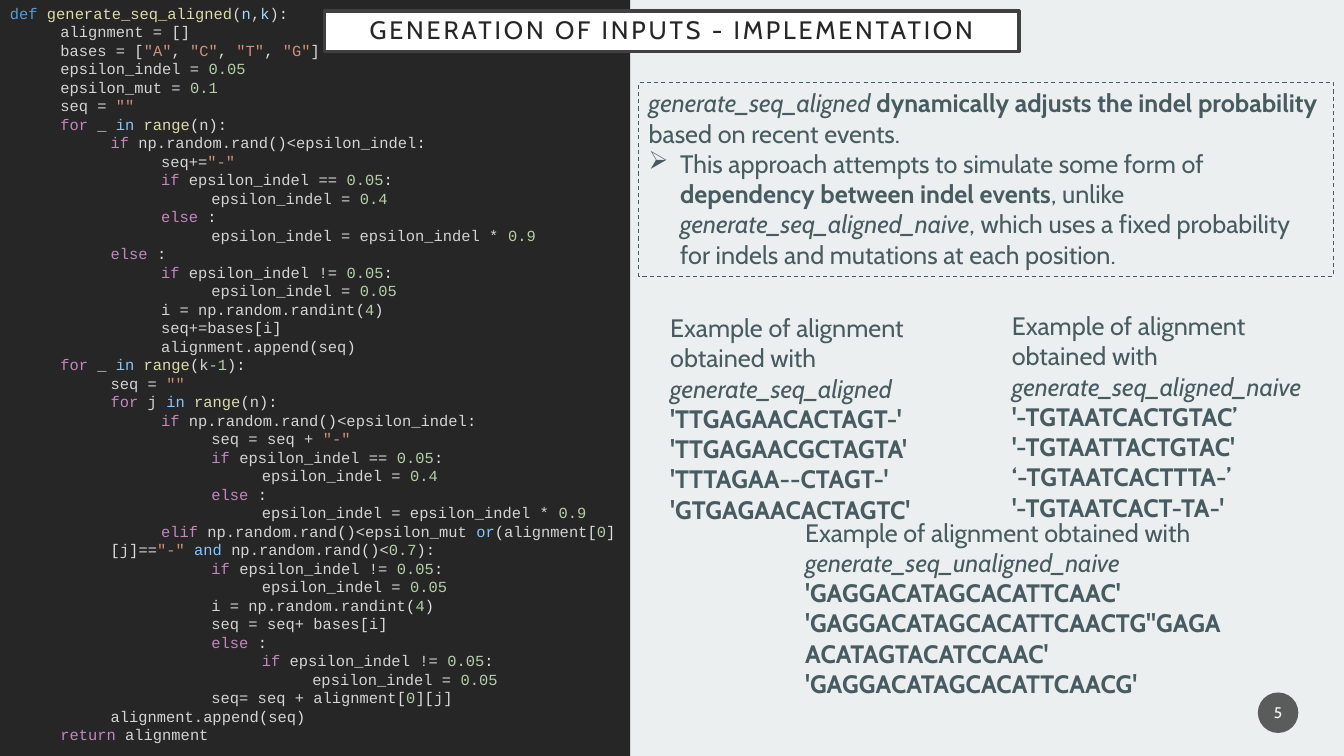
"""Build the slide on the implementation of the input generation."""
import pptx
import pptx.util
import pptx.dml.color
import pptx.enum.dml
import pptx.enum.shapes
import pptx.enum.text
import pptx.oxml.ns
from lxml import etree

Cm, Pt = pptx.util.Cm, pptx.util.Pt
RGB = pptx.dml.color.RGBColor.from_string
SHAPE = pptx.enum.shapes.MSO_SHAPE
ANCHOR = pptx.enum.text.MSO_ANCHOR
ALIGN = pptx.enum.text.PP_ALIGN
qn = pptx.oxml.ns.qn

COLORS = {
    "back": "EBEFF0", "panel": "262626", "frame": "404040", "white": "FFFFFF",
    "badge": "1D1D1D", "body": "475B61",
    "d": "569CD6", "f": "DCDCAA", "t": "D4D4D4", "a": "9CDCFE", "p": "DCDCDC",
    "s": "CE9178", "n": "B5CEA8", "k": "C586C0", "o": "82C6FF",
}
CODE_FONT = {"name": "Courier New", "size": Pt(11)}
BODY_FONT = {"name": "Cabin", "size": Pt(18)}
STYLES = {"": {}, "b": {"bold": True}, "i": {"italic": True}}
TAB = 1.27

CODE = [
    (0, "ddef |fgenerate_seq_aligned|t(|an|t,|ak|t)|p:"),
    (1, "talignment = |p[]"),
    (1, 'tbases = |p[|s"A"|p, |s"C"|p, |s"T"|p, |s"G"|p]'),
    (1, "tepsilon_indel = |n0.05"),
    (1, "tepsilon_mut = |n0.1"),
    (1, 'tseq = |s""'),
    (1, "kfor|t _ |oin |frange|p(|tn|p):"),
    (2, "kif |tnp.random.rand|p()|t<epsilon_indel|p:"),
    (3, 'tseq+=|s"-"'),
    (3, "kif |tepsilon_indel == |n0.05|p:"),
    (4, "tepsilon_indel = |n0.4"),
    (3, "kelse |p:"),
    (4, "tepsilon_indel = epsilon_indel * |n0.9"),
    (2, "kelse |p:"),
    (3, "kif |tepsilon_indel != |n0.05|p:"),
    (4, "tepsilon_indel = |n0.05"),
    (3, "ti = np.random.randint|p(|n4|p)"),
    (3, "tseq+=bases|p[|ti|p]"),
    (3, "talignment.append|p(|tseq|p)"),
    (1, "kfor|t _ |oin |frange|p(|tk|n-1|p):"),
    (2, 'tseq = |s""'),
    (2, "kfor|t j |oin |frange|p(|tn|p):"),
    (3, "kif |tnp.random.rand|p()|t<epsilon_indel|p:"),
    (4, 'tseq = seq + |s"-"'),
    (4, "kif |tepsilon_indel == |n0.05|p:"),
    (5, "tepsilon_indel = |n0.4"),
    (4, "kelse |p:"),
    (5, "tepsilon_indel = epsilon_indel * |n0.9"),
    (3, "kelif |tnp.random.rand|p()|t<epsilon_mut |oor|p(|talignment|p[|n0|p][|tj|p]"
        '|t==|s"-" |oand |tnp.random.rand|p()|t<|n0.7|p):'),
    (4, "kif |tepsilon_indel != |n0.05|p:"),
    (5, "tepsilon_indel = |n0.05"),
    (4, "ti = np.random.randint|p(|n4|p)"),
    (4, "tseq = seq+ bases|p[|ti|p]"),
    (4, "kelse |p:"),
    (5, "kif |tepsilon_indel != |n0.05|p:"),
    (6, "tepsilon_indel = |n0.05"),
    (4, "tseq= seq + alignment|p[|n0|p][|tj|p]"),
    (2, "talignment.append|p(|tseq|p)"),
    (1, "kreturn |talignment"),
]

EXAMPLES = [
    ((16.64, 7.75, 8.61, 4.88), "generate_seq_aligned",
     ["'TTGAGAACACTAGT-' 'TTGAGAACGCTAGTA' 'TTTAGAA--CTAGT-' 'GTGAGAACACTAGTC'"]),
    ((25.25, 7.7, 8.61, 4.88), "generate_seq_aligned_naive",
     ["'-TGTAATCACTGTAC’", "'-TGTAATTACTGTAC'", "‘-TGTAATCACTTTA-’", "'-TGTAATCACT-TA-'"]),
    ((20.04, 12.9, 11.3, 4.88), "generate_seq_unaligned_naive",
     ["'GAGGACATAGCACATTCAAC' 'GAGGACATAGCACATTCAACTG''GAGAACATAGTACATCCAAC' "
      "'GAGGACATAGCACATTCAACG'"]),
]

prs = pptx.Presentation()
prs.slide_width, prs.slide_height = Cm(33.87), Cm(19.05)
s = prs.slides.add_slide(prs.slide_layouts[6])
s.background.fill.solid()
s.background.fill.fore_color.rgb = RGB(COLORS["back"])


def add_box(kind, at, fill=None, line=None, width=0, anchor=ANCHOR.TOP, insets=(0.25, 0.13)):
    """Add a preset shape ready to hold text."""
    sp = s.shapes.add_shape(kind, *map(Cm, at))
    sp.shadow.inherit = False
    for part, color in ((sp.fill, fill), (sp.line.fill, line)):
        if color:
            part.solid()
            part.fore_color.rgb = RGB(COLORS[color])
        else:
            part.background()
    if line:
        sp.line.width = Pt(width)
    tf = sp.text_frame
    tf.word_wrap, tf.vertical_anchor = True, anchor
    tf.margin_left = tf.margin_right = Cm(insets[0])
    tf.margin_top = tf.margin_bottom = Cm(insets[1])
    return sp


def add_paragraph(tf, runs, align=ALIGN.LEFT):
    """Append a paragraph of (text, colour, font values) runs."""
    p = tf.add_paragraph() if tf.paragraphs[0].runs else tf.paragraphs[0]
    p.alignment = align
    for text, color, fmt in runs:
        r = p.add_run()
        r.text = text
        r.font.color.rgb = RGB(COLORS[color])
        for key, value in fmt.items():
            setattr(r.font, key, value)
    return p


sp = add_box(SHAPE.OVAL, (31.7, 17.45, 1.02, 1.02), "badge", anchor=ANCHOR.MIDDLE,
             insets=(0.05, 0.13))
badge_color = sp.fill._xPr.find(qn("a:solidFill"))[0]
etree.SubElement(badge_color, qn("a:alpha")).set("val", "70000")
add_paragraph(sp.text_frame, [("5", "white", {**BODY_FONT, "size": Pt(11)})], ALIGN.CENTER)

sp = add_box(SHAPE.RECTANGLE, (0, -0.03, 15.88, 19.08), "panel")
for level, line in CODE:
    runs = [(part[1:], part[0], CODE_FONT) for part in line.split("|")]
    p = add_paragraph(sp.text_frame, runs)
    hang = 1 if line.startswith("kelif") else 0
    pPr = p._p.get_or_add_pPr()
    pPr.set("marL", str(Cm(TAB * (level - hang))))
    pPr.set("indent", str(Cm(TAB * hang)))

sp = add_box(SHAPE.RECTANGLE, (8.18, 0.28, 17.5, 1.02), "white", "frame", 2.5,
             ANCHOR.MIDDLE, (0.51, 0.51))
p = add_paragraph(sp.text_frame, [("GENERATION OF INPUTS - IMPLEMENTATION", "panel", BODY_FONT)],
                  ALIGN.CENTER)
p.line_spacing = 0.9
p.runs[0]._r.get_or_add_rPr().set("spc", "200")

sp = add_box(SHAPE.RECTANGLE, (16.1, 2.08, 17.5, 4.88), line="body", width=0.75)
sp.line.dash_style = pptx.enum.dml.MSO_LINE.DASH
SUMMARY = [
    [("generate_seq_aligned ", "i"), ("dynamically adjusts the indel probability ", "b"),
     ("based on recent events.", "")],
    [("This approach attempts to simulate some form of ", ""),
     ("dependency between indel events", "b"), (", unlike ", ""),
     ("generate_seq_aligned_naive", "i"),
     (", which uses a fixed probability for indels and mutations at each position.", "")],
]
for runs in SUMMARY:
    p = add_paragraph(sp.text_frame,
                      [(text, "body", {**BODY_FONT, **STYLES[style]}) for text, style in runs])
pPr = p._p.get_or_add_pPr()
pPr.set("marL", str(Cm(0.79)))
pPr.set("indent", str(Cm(-0.79)))
etree.SubElement(pPr, qn("a:buChar")).set("char", "➢")

for at, function, sequences in EXAMPLES:
    tf = s.shapes.add_textbox(*map(Cm, at)).text_frame
    tf.word_wrap = True
    add_paragraph(tf, [("Example of alignment obtained with ", "body", BODY_FONT),
                       (function, "body", {**BODY_FONT, **STYLES["i"]})])
    for sequence in sequences:
        add_paragraph(tf, [(sequence, "body", {**BODY_FONT, **STYLES["b"]})])

prs.save("out.pptx")
